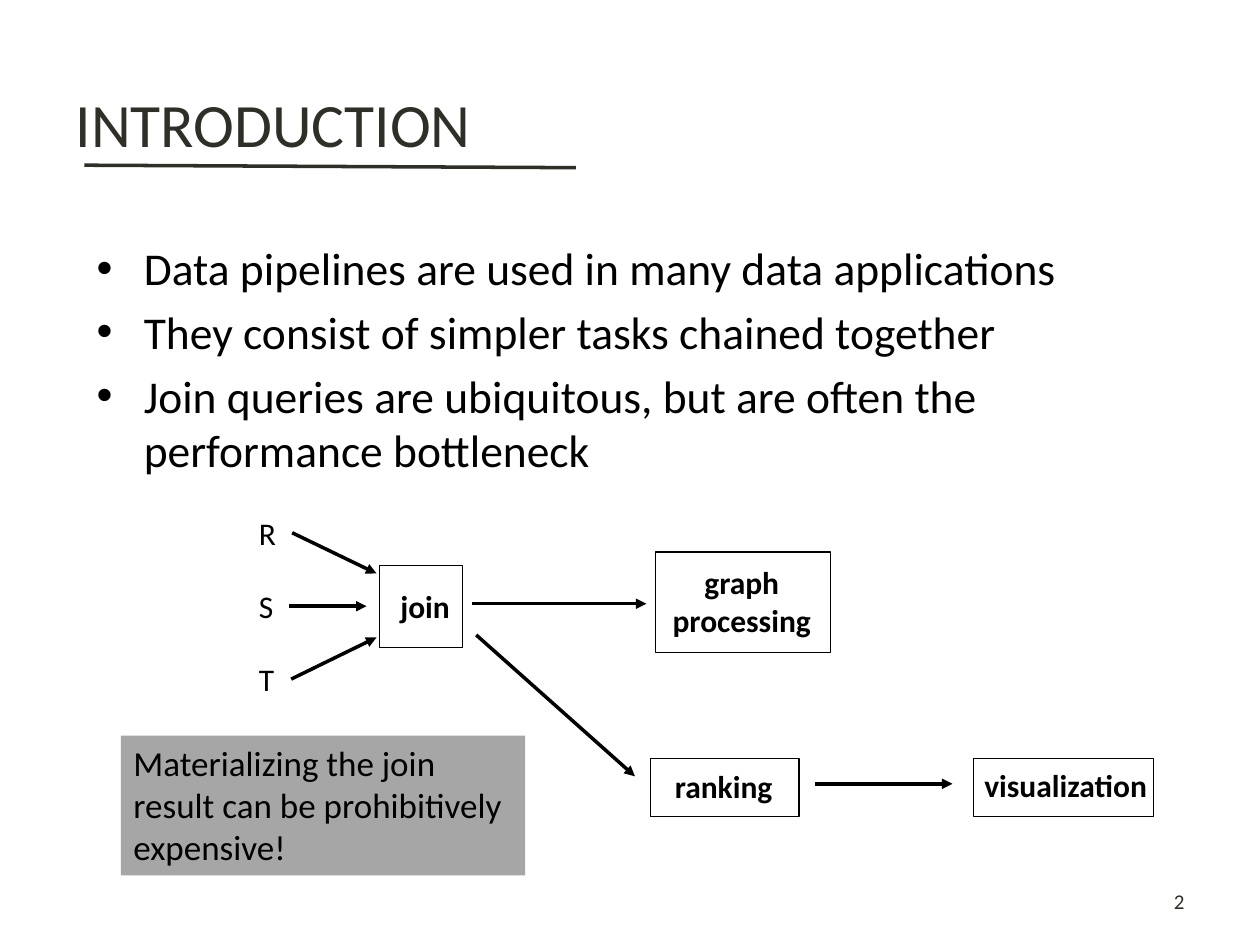
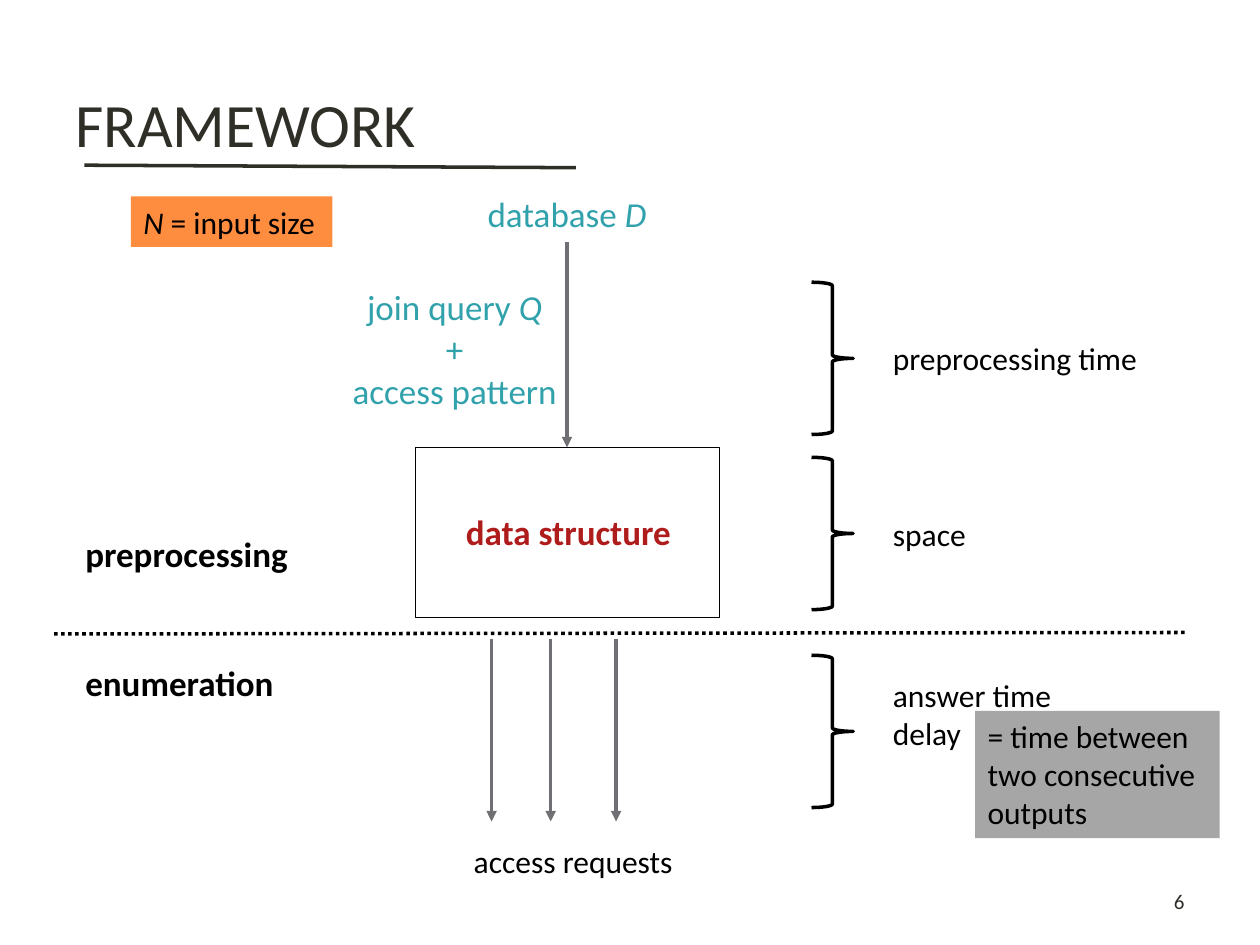
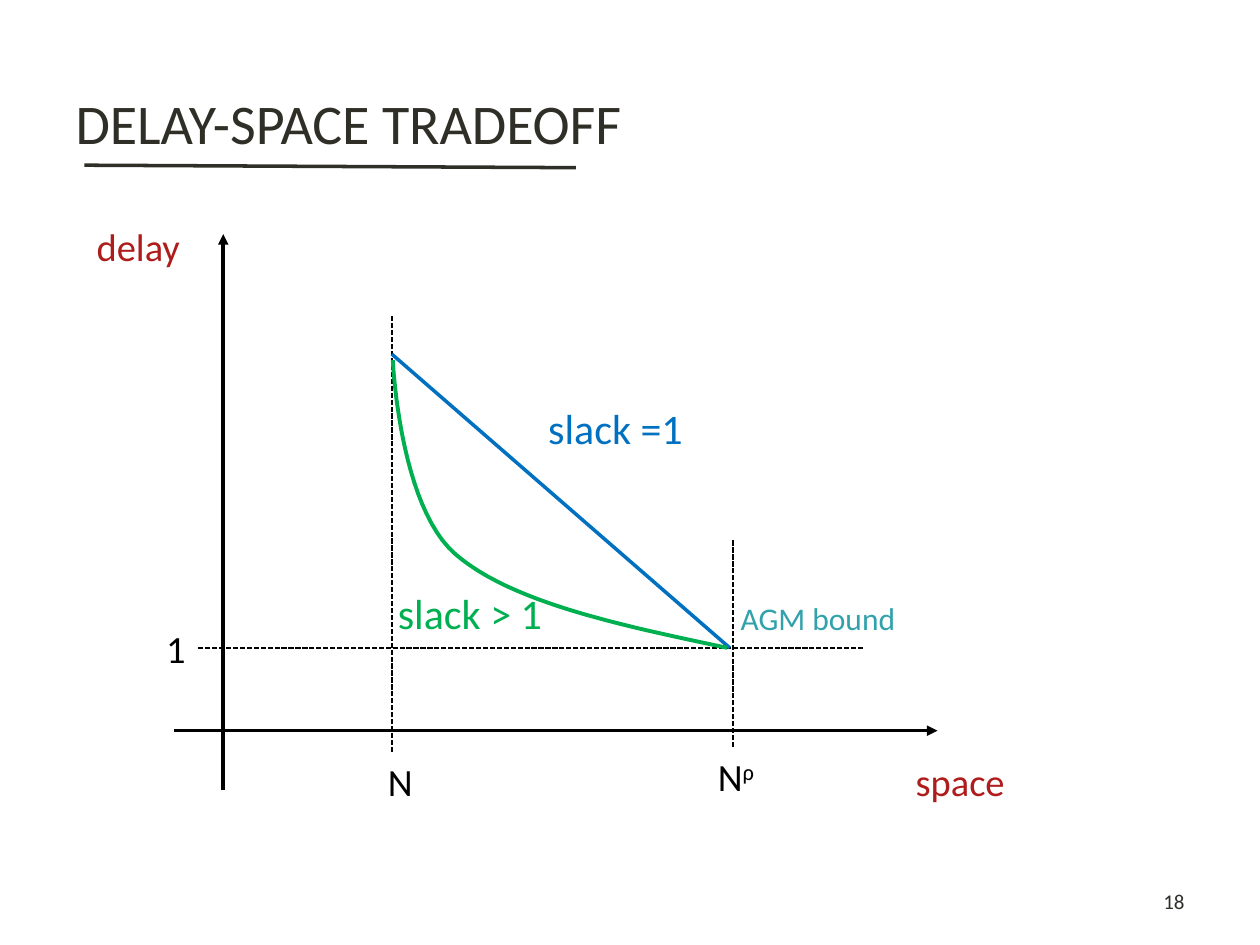
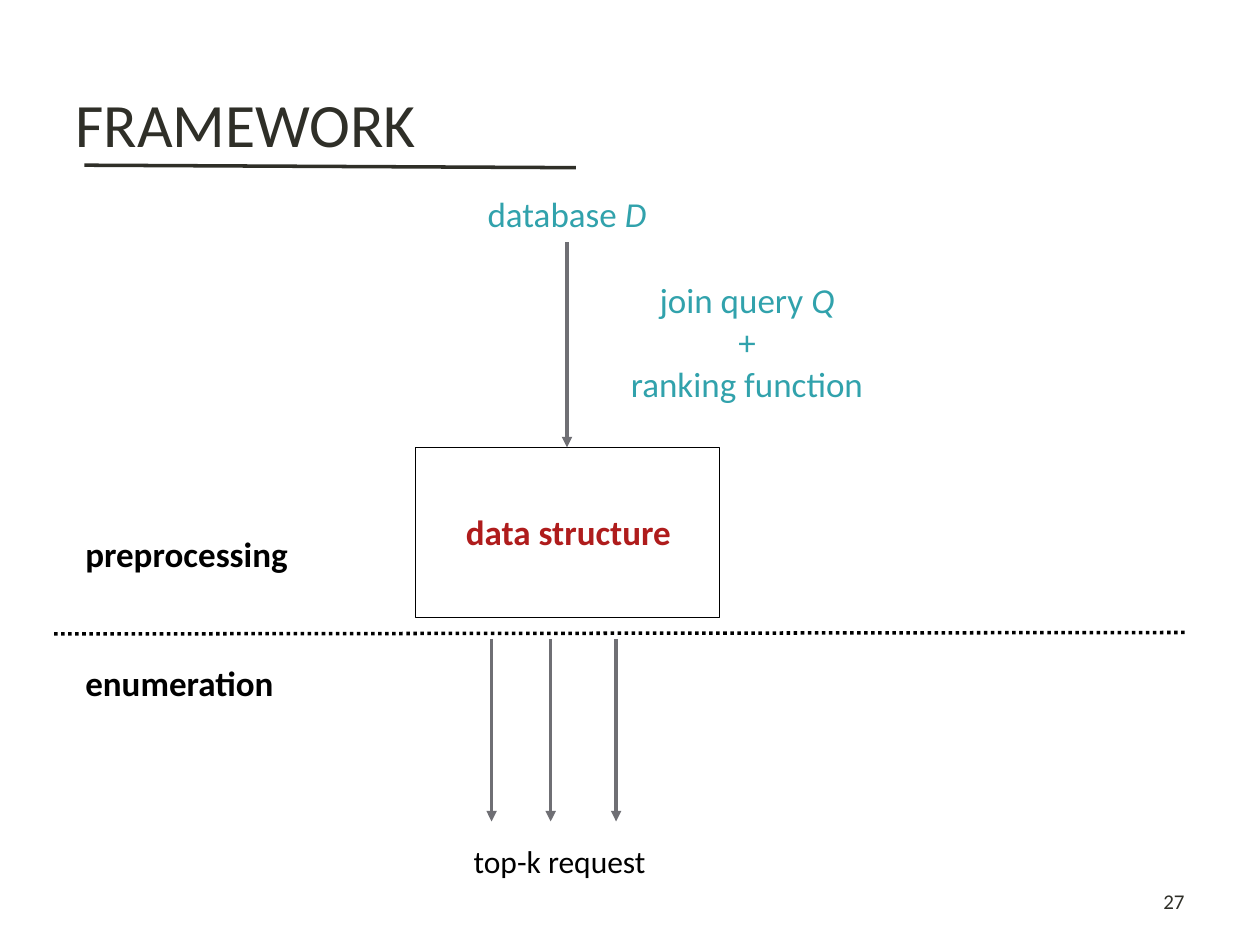
from dataclasses import dataclass
from typing import NamedTuple

from lxml import etree
from pptx import Presentation
from pptx.dml.color import RGBColor
from pptx.enum.dml import MSO_LINE as Dash
from pptx.enum.shapes import MSO_CONNECTOR as Link, MSO_SHAPE as Kind
from pptx.enum.text import MSO_ANCHOR as Anchor, MSO_AUTO_SIZE as Fit, PP_ALIGN as Align
from pptx.oxml.ns import qn
from pptx.util import Cm, Pt

FONT = "Calibri"
BLACK, INK, GREY, STEEL = "000000", "2F2F28", "A6A6A6", "6F6F74"
TEAL, RED, ORANGE, BLUE, GREEN = "31A2AC", "AF1C1C", "FF8D3F", "0070C0", "00B050"


class Box(NamedTuple):
    """Left, top, width and height in centimetres."""
    x: float
    y: float
    w: float
    h: float

    def emu(self) -> list:
        return [Cm(v) for v in self]


class Run(NamedTuple):
    text: str
    italic: bool = False
    base: int = 0


@dataclass
class Line:
    x1: float
    y1: float
    x2: float
    y2: float
    hue: str = BLACK
    width: float = 2
    dash: Dash | None = None
    arrow: bool = True


@dataclass
class Label:
    box: Box
    text: str | list
    size: float = 18
    hue: str = BLACK
    bold: bool = False
    center: bool = False


@dataclass
class Node:
    """An outlined box with its caption placed over it."""
    box: Box
    label: Label


def color(code: str) -> RGBColor:
    return RGBColor.from_string(code)


def write(shape, paras, size=18, hue=BLACK, bold=False, align=Align.LEFT, wrap=False,
          anchor=Anchor.TOP, fit=Fit.SHAPE_TO_FIT_TEXT, caps=False, bullet=False):
    """Fill a shape with paragraphs, each a string or a list of runs."""
    frame = shape.text_frame
    frame.word_wrap, frame.auto_size, frame.vertical_anchor = wrap, fit, anchor
    for i, para in enumerate([paras] if isinstance(paras, str) else paras):
        p = frame.add_paragraph() if i else frame.paragraphs[0]
        p.alignment = align
        if bullet:
            p.space_before = Pt(size * 0.2)
            props = p._p.get_or_add_pPr()
            props.set("marL", str(Cm(0.95)))
            props.set("indent", str(-Cm(0.95)))
            etree.SubElement(props, qn("a:buFont")).set("typeface", "Arial")
            etree.SubElement(props, qn("a:buChar")).set("char", "•")
        for part in [Run(para)] if isinstance(para, str) else para:
            run = p.add_run()
            run.text = part.text
            font = run.font
            font.name, font.size, font.bold, font.italic = FONT, Pt(size), bold, part.italic
            font.color.rgb = color(hue)
            props = run._r.get_or_add_rPr()
            if part.base:
                props.set("baseline", str(part.base * 1000))
            if caps:
                props.set("cap", "small")


def put(slide, box: Box, paras, **style):
    write(slide.shapes.add_textbox(*box.emu()), paras, **style)


def label(slide, item: Label):
    put(slide, item.box, item.text, size=item.size, hue=item.hue, bold=item.bold,
        align=Align.CENTER if item.center else Align.LEFT)


def stroke(shape, hue: str, width: float):
    shape.line.color.rgb = color(hue)
    shape.line.width = Pt(width)


def draw(slide, line: Line):
    ends = [Cm(v) for v in (line.x1, line.y1, line.x2, line.y2)]
    link = slide.shapes.add_connector(Link.STRAIGHT, *ends)
    stroke(link, line.hue, line.width)
    if line.dash:
        link.line.dash_style = line.dash
    if line.arrow:
        etree.SubElement(link.line._get_or_add_ln(), qn("a:tailEnd")).set("type", "triangle")
    etree.SubElement(link._element.spPr, qn("a:effectLst"))


def outline(slide, box: Box, kind=Kind.RECTANGLE, width=0.75):
    shape = slide.shapes.add_shape(kind, *box.emu())
    shape.shadow.inherit = False
    shape.fill.background()
    stroke(shape, BLACK, width)


def note(slide, box: Box, paras, fill: str, **style):
    shape = slide.shapes.add_shape(Kind.RECTANGLE, *box.emu())
    shape.shadow.inherit = False
    shape.fill.solid()
    shape.fill.fore_color.rgb = color(fill)
    shape.line.fill.background()
    write(shape, paras, **style)


def bend(pts: list, steps: int = 24) -> list:
    """Points along a cubic Bézier curve, without its start."""
    path = []
    for i in range(1, steps + 1):
        t = i / steps
        u = 1 - t
        weights = (u ** 3, 3 * u * u * t, 3 * u * t * t, t ** 3)
        path.append(tuple(Cm(sum(w * p[k] for w, p in zip(weights, pts))) for k in (0, 1)))
    return path


def start(deck, title: str, number: int, size: float = 44):
    """Add a slide with its title, rule and number."""
    slide = deck.slides.add_slide(deck.slide_layouts[5])
    head = slide.shapes.title
    head.left, head.top, head.width, head.height = Box(1.27, 0.76, 22.86, 3.18).emu()
    write(head, title, size=size, hue=INK, wrap=True, anchor=Anchor.MIDDLE, fit=Fit.NONE, caps=True)
    draw(slide, Line(1.7, 3.33, 11.61, 3.38, INK, arrow=False))
    put(slide, Box(18.21, 17.65, 5.92, 1.02), str(number), size=12, hue=INK, wrap=True,
        align=Align.RIGHT, anchor=Anchor.MIDDLE, fit=Fit.NONE)
    return slide


def intro(deck):
    slide = start(deck, "introduction", 2)
    put(slide, Box(1.7, 4.72, 20.93, 5.28),
        ["Data pipelines are used in many data applications",
         "They consist of simpler tasks chained together",
         "Join queries are ubiquitous, but are often the performance bottleneck"],
        size=26, wrap=True, fit=Fit.NONE, bullet=True)
    for i, name in enumerate("RST"):
        label(slide, Label(Box(4.97, 10.24 + 1.47 * i, 0.87, 1.02), name))
    nodes = [
        Node(Box(7.65, 11.4, 1.68, 1.65),
             Label(Box(7.82, 11.71, 1.55, 1.02), "join", bold=True)),
        Node(Box(13.21, 11.13, 3.53, 2.03),
             Label(Box(13.23, 11.23, 3.45, 1.8), ["graph", "processing"], bold=True, center=True)),
        Node(Box(13.11, 15.29, 3, 1.17),
             Label(Box(13.28, 15.34, 2.62, 1.02), "ranking", bold=True, center=True)),
        Node(Box(19.63, 15.29, 3.63, 1.17),
             Label(Box(19.48, 15.32, 4.01, 1.02), "visualization", bold=True, center=True)),
    ]
    for node in nodes:
        outline(slide, node.box)
        label(slide, node.label)
    arrows = [
        Line(5.89, 10.74, 7.59, 11.56),
        Line(5.82, 12.22, 7.39, 12.22),
        Line(5.87, 13.69, 7.59, 12.85),
        Line(9.52, 12.17, 13.03, 12.17),
        Line(9.6, 12.8, 12.8, 15.65),
        Line(16.43, 15.8, 19.2, 15.8),
    ]
    for arrow in arrows:
        draw(slide, arrow)
    note(slide, Box(2.44, 14.83, 8.15, 2.82),
         "Materializing the join result can be prohibitively expensive!",
         GREY, size=20, wrap=True)


def framework(deck, number: int, query: Box, goal: str, ask: Label):
    """Draw the two-phase scheme that both framework slides share."""
    slide = start(deck, "framework", number)
    outline(slide, Box(8.38, 9.02, 6.12, 3.43))
    draw(slide, Line(11.43, 4.88, 11.43, 9.02, STEEL))
    for x in (9.91, 11.1, 12.42):
        draw(slide, Line(x, 12.88, x, 16.56, STEEL))
    draw(slide, Line(1.09, 12.78, 23.9, 12.75, dash=Dash.ROUND_DOT, arrow=False))
    mid = dict(size=20, align=Align.CENTER, wrap=True)
    put(slide, Box(5.51, 3.76, 11.84, 1.12), [[Run("database "), Run("D", True)]], hue=TEAL, **mid)
    put(slide, Box(8.64, 10.16, 5.64, 1.12), "data structure", hue=RED, bold=True, **mid)
    put(slide, query, [[Run("join query "), Run("Q", True)], "+", goal], hue=TEAL, **mid)
    label(slide, Label(Box(1.47, 10.62, 4.8, 1.12), "preprocessing", 20, bold=True))
    label(slide, Label(Box(1.47, 13.21, 4.5, 1.12), "enumeration", 20, bold=True))
    label(slide, ask)
    return slide


def access(deck):
    slide = framework(deck, 6, Box(5.84, 5.64, 6.65, 2.82), "access pattern",
                      Label(Box(9.3, 16.84, 4.6, 1.02), "access requests"))
    costs = {
        5.69: Label(Box(17.75, 6.71, 5.56, 1.02), "preprocessing time"),
        9.22: Label(Box(17.75, 10.26, 2.03, 1.02), "space"),
        13.21: Label(Box(17.75, 13.51, 3.89, 1.8), ["answer time", "delay"]),
    }
    for top, cost in costs.items():
        outline(slide, Box(16.36, top, 0.84, 3.07), Kind.RIGHT_BRACE, 2)
        label(slide, cost)
    note(slide, Box(19.66, 14.33, 4.93, 2.57), "= time between two consecutive outputs",
         GREY, wrap=True)
    note(slide, Box(2.64, 3.96, 4.06, 1.02), [[Run("N", True), Run(" = input size")]], ORANGE)


def tradeoff(deck):
    slide = start(deck, "delay-space tradeoff", 18, 40)
    guide = dict(width=1, dash=Dash.SQUARE_DOT, arrow=False)
    lines = [
        Line(4.5, 15.93, 4.5, 4.72),
        Line(3.51, 14.73, 18.9, 14.73),
        Line(7.9, 15.16, 7.9, 6.38, **guide),
        Line(14.78, 15.06, 14.78, 10.87, **guide),
        Line(17.4, 13.06, 3.96, 13.06, **guide),
        Line(14.71, 13.06, 7.9, 7.14, BLUE, arrow=False),
    ]
    for line in lines:
        draw(slide, line)

    low, knee, high = (14.66, 13.06), (9.19, 11.18), (7.92, 7.26)
    pen = slide.shapes.build_freeform(Cm(low[0]), Cm(low[1]))
    pen.add_line_segments(bend([low, (12.47, 12.6), (10.31, 12.14), knee])
                          + bend([knee, (8.05, 10.21), high, high]), close=False)
    curve = pen.convert_to_shape()
    curve.shadow.inherit = False
    curve.fill.background()
    stroke(curve, GREEN, 2.25)

    labels = [
        Label(Box(18.21, 15.16, 2.36, 1.19), "space", 22, RED),
        Label(Box(1.7, 4.37, 2.26, 1.19), "delay", 22, RED),
        Label(Box(7.57, 15.16, 1, 1.19), "N", 22),
        Label(Box(14.22, 15.06, 1.24, 1.19), [[Run("N"), Run("ρ", base=30)]], 22),
        Label(Box(3.1, 12.47, 0.86, 1.19), "1", 22),
        Label(Box(14.68, 11.96, 3.68, 1.02), "AGM bound", 18, TEAL),
        Label(Box(10.8, 7.98, 3.25, 1.27), "slack =1", 24, BLUE),
        Label(Box(7.77, 11.71, 3.43, 1.27), "slack > 1", 24, GREEN),
    ]
    for item in labels:
        label(slide, item)


def main():
    deck = Presentation()
    deck.slide_width, deck.slide_height = Cm(25.4), Cm(19.05)
    intro(deck)
    access(deck)
    tradeoff(deck)
    framework(deck, 27, Box(11.63, 5.49, 6.86, 2.82), "ranking function",
              Label(Box(9.3, 16.84, 4.06, 1.02), "top-k request"))
    deck.save("out.pptx")


if __name__ == "__main__":
    main()
